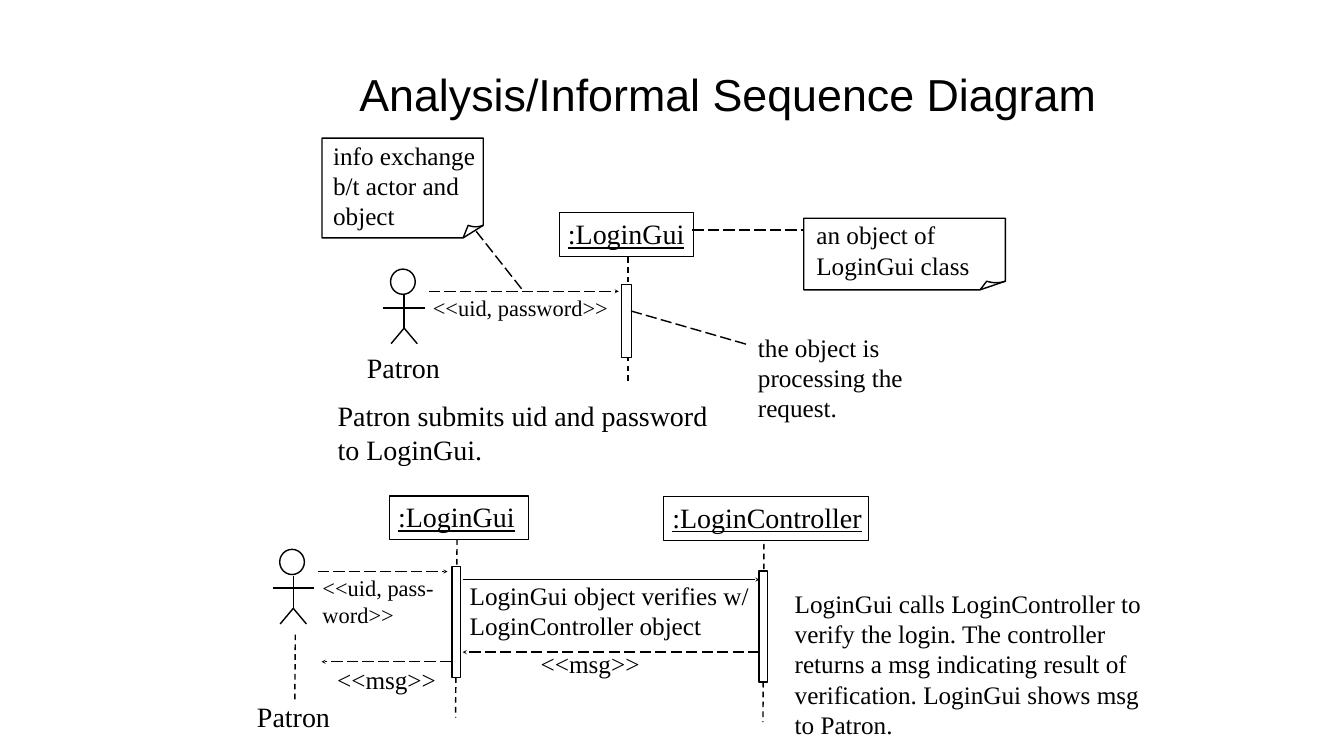
from typing import NamedTuple, Optional

from lxml.etree import SubElement
from pptx import Presentation
from pptx.dml.color import RGBColor
from pptx.enum.dml import MSO_LINE
from pptx.enum.shapes import MSO_CONNECTOR, MSO_SHAPE
from pptx.enum.text import MSO_ANCHOR, MSO_AUTO_SIZE, PP_ALIGN
from pptx.oxml.ns import qn
from pptx.util import Inches, Pt

BLACK = RGBColor(0, 0, 0)
WHITE = RGBColor(255, 255, 255)
LINE_WIDTH = Pt(2)
BODY_FONT = "Times New Roman"
OBJECT_HEIGHT = 0.87


class Label(NamedTuple):
    text: str
    left: float
    top: float
    width: float
    height: float
    size: int = 36
    wrap: bool = True
    underline: bool = False


class Line(NamedTuple):
    x1: float
    y1: float
    x2: float
    y2: float
    dash: Optional[MSO_LINE] = None
    arrow: bool = False


class Participant(NamedTuple):
    """An object box with its lifeline and activation bar."""
    name: str
    left: float
    top: float
    width: float
    text_width: float
    lifeline: Line
    bar_left: float
    bar_top: float
    bar_width: float
    bar_height: float


class Actor(NamedTuple):
    head_left: float
    head_top: float
    name_left: float
    name_top: float


class Note(NamedTuple):
    """A sheet with a folded lower right corner."""
    left: float
    top: float
    width: float
    height: float
    fold_width: float
    fold_height: float
    flap: float
    label: Label


PARTICIPANTS = [
    Participant(":LoginGui", 7.73, 9.84, 2.76, 2.33,
                Line(9.07, 10.7, 9.04, 14.24, MSO_LINE.DASH), 8.97, 11.24, 0.17, 2.2),
    Participant(":LoginController", 13.17, 9.85, 4.06, 3.78,
                Line(15.16, 10.79, 15.14, 14.33, MSO_LINE.DASH), 15.06, 11.33, 0.17, 2.2),
    Participant(":LoginGui", 11.1, 4.22, 2.66, 2.33,
                Line(12.46, 5.1, 12.46, 7.6, MSO_LINE.DASH), 12.33, 5.64, 0.2, 1.45),
]
ACTORS = [Actor(5.55, 10.9, 5.1, 13.87), Actor(7.75, 5.34, 7.28, 6.95)]
NOTES = [
    Note(6.39, 2.74, 3.2, 1.98, 0.4, 0.25, 0.1,
         Label("info exchange b/t actor and object", 6.61, 2.78, 3.18, 1.73)),
    Note(15.95, 4.33, 4, 1.42, 0.5, 0.17, 0.13,
         Label("an object of LoginGui class", 16.2, 4.36, 3.55, 1.15)),
]
LINES = [
    # messages
    Line(8.51, 5.78, 12.28, 5.78, MSO_LINE.LONG_DASH, True),
    Line(6.31, 11.34, 8.88, 11.34, MSO_LINE.LONG_DASH, True),
    Line(9.18, 11.5, 15.07, 11.5, None, True),
    Line(15.07, 12.94, 9.18, 12.94, MSO_LINE.LONG_DASH, True),
    Line(8.95, 13.13, 6.38, 13.13, MSO_LINE.LONG_DASH, True),
    # lifeline of the lower actor
    Line(5.86, 12.59, 5.85, 13.94, MSO_LINE.DASH),
    # links to remarks
    Line(12.52, 6.17, 14.81, 6.83, MSO_LINE.LONG_DASH),
    Line(10.35, 5.73, 9.45, 4.59, MSO_LINE.LONG_DASH),
    Line(13.74, 4.56, 15.96, 4.56, MSO_LINE.LONG_DASH),
]
LABELS = [
    Label("Patron submits uid and password\nto LoginGui.", 6.7, 7.91, 7.36, 1.28, 40, False),
    Label("LoginGui calls LoginController to\nverify the login. The controller returns a msg "
          "indicating result of verification. LoginGui shows msg to Patron.",
          15.77, 11.67, 6.97, 2.9),
    Label("<<uid, password>>", 8.59, 5.83, 3.49, 0.5, 32, False),
    Label("<<uid, pass-word>>", 6.4, 11.39, 2.53, 1.01, 32),
    Label("LoginGui object verifies w/\nLoginController object", 9.32, 11.51, 5.63, 1.15),
    Label("<<msg>>", 6.69, 13.19, 1.98, 0.56, wrap=False),
    Label("<<msg>>", 10.73, 12.87, 1.98, 0.56, wrap=False),
    Label("the object is processing the request.", 15.04, 6.59, 4.05, 1.73),
]


def style_outline(shape, fill: Optional[RGBColor] = None) -> None:
    shape.shadow.inherit = False
    if fill is None:
        shape.fill.background()
    else:
        shape.fill.solid()
        shape.fill.fore_color.rgb = fill
    shape.line.color.rgb = BLACK
    shape.line.width = LINE_WIDTH


def draw_shape(slide, kind, left: float, top: float, width: float, height: float,
               fill: Optional[RGBColor] = None) -> None:
    shape = slide.shapes.add_shape(kind, Inches(left), Inches(top), Inches(width), Inches(height))
    style_outline(shape, fill)


def draw_line(slide, line: Line) -> None:
    connector = slide.shapes.add_connector(
        MSO_CONNECTOR.STRAIGHT, Inches(line.x1), Inches(line.y1), Inches(line.x2), Inches(line.y2))
    connector.line.color.rgb = BLACK
    connector.line.width = LINE_WIDTH
    if line.dash is not None:
        connector.line.dash_style = line.dash
    if line.arrow:
        SubElement(connector.line._get_or_add_ln(), qn("a:tailEnd"), type="stealth")
    SubElement(connector._element.spPr, qn("a:effectLst"))


def draw_label(slide, label: Label) -> None:
    box = slide.shapes.add_textbox(
        Inches(label.left), Inches(label.top), Inches(label.width), Inches(label.height))
    frame = box.text_frame
    frame.margin_left = frame.margin_right = frame.margin_top = frame.margin_bottom = 0
    frame.word_wrap = label.wrap
    frame.auto_size = MSO_AUTO_SIZE.SHAPE_TO_FIT_TEXT
    frame.text = label.text
    for paragraph in frame.paragraphs:
        for run in paragraph.runs:
            run.font.name = BODY_FONT
            run.font.size = Pt(label.size)
            run.font.color.rgb = BLACK
            if label.underline:
                run.font.underline = True


def draw_participant(slide, item: Participant) -> None:
    draw_line(slide, item.lifeline)
    draw_shape(slide, MSO_SHAPE.RECTANGLE, item.bar_left, item.bar_top,
               item.bar_width, item.bar_height, WHITE)
    draw_shape(slide, MSO_SHAPE.RECTANGLE, item.left, item.top, item.width, OBJECT_HEIGHT)
    draw_label(slide, Label(item.name, item.left + 0.17, item.top + 0.08, item.text_width, 0.63,
                            40, False, True))


def draw_actor(slide, actor: Actor) -> None:
    x, y = actor.head_left + 0.27, actor.head_top
    draw_shape(slide, MSO_SHAPE.OVAL, actor.head_left, y, 0.49, 0.5)
    draw_line(slide, Line(x - 0.41, y + 0.77, x + 0.41, y + 0.77))
    draw_line(slide, Line(x, y + 0.52, x, y + 1.17))
    for side in (-1, 1):
        draw_line(slide, Line(x, y + 1.17, x + side * 0.26, y + 1.48))
    draw_label(slide, Label("Patron", actor.name_left, actor.name_top, 1.46, 0.63, 40, False))


def draw_outline(slide, points: list[tuple[float, float]], close: bool) -> None:
    corners = [(Inches(x), Inches(y)) for x, y in points]
    builder = slide.shapes.build_freeform(*corners[0])
    builder.add_line_segments(corners[1:], close=close)
    style_outline(builder.convert_to_shape())


def draw_note(slide, note: Note) -> None:
    right, bottom = note.left + note.width, note.top + note.height
    fold_x, fold_y = right - note.fold_width, bottom - note.fold_height
    draw_label(slide, note.label)
    draw_outline(slide, [(note.left, note.top), (note.left, bottom), (fold_x, bottom),
                         (right, fold_y), (right, note.top)], True)
    flap_x = fold_x + note.flap
    curve = [(flap_x + (right - flap_x) * step / 8, fold_y + 0.12 * step / 8 * (1 - step / 8))
             for step in range(9)]
    draw_outline(slide, [(fold_x, bottom)] + curve, False)


def draw_title(slide, text: str) -> None:
    title = slide.shapes.title
    title.left, title.top, title.width, title.height = map(Inches, (7.03, 0.6, 15.3, 2.5))
    frame = title.text_frame
    frame.margin_left = frame.margin_right = frame.margin_top = frame.margin_bottom = Inches(0.1)
    frame.vertical_anchor = MSO_ANCHOR.MIDDLE
    frame.text = text
    paragraph = frame.paragraphs[0]
    paragraph.alignment = PP_ALIGN.LEFT
    font = paragraph.runs[0].font
    font.name, font.size, font.color.rgb = "Arial", Pt(64), BLACK


def main() -> None:
    presentation = Presentation()
    presentation.slide_width, presentation.slide_height = Inches(26.67), Inches(15)
    slide = presentation.slides.add_slide(presentation.slide_layouts[5])
    draw_title(slide, "Analysis/Informal Sequence Diagram")
    for draw, items in ((draw_participant, PARTICIPANTS), (draw_actor, ACTORS),
                        (draw_note, NOTES), (draw_line, LINES), (draw_label, LABELS)):
        for item in items:
            draw(slide, item)
    presentation.save("out.pptx")


if __name__ == "__main__":
    main()
